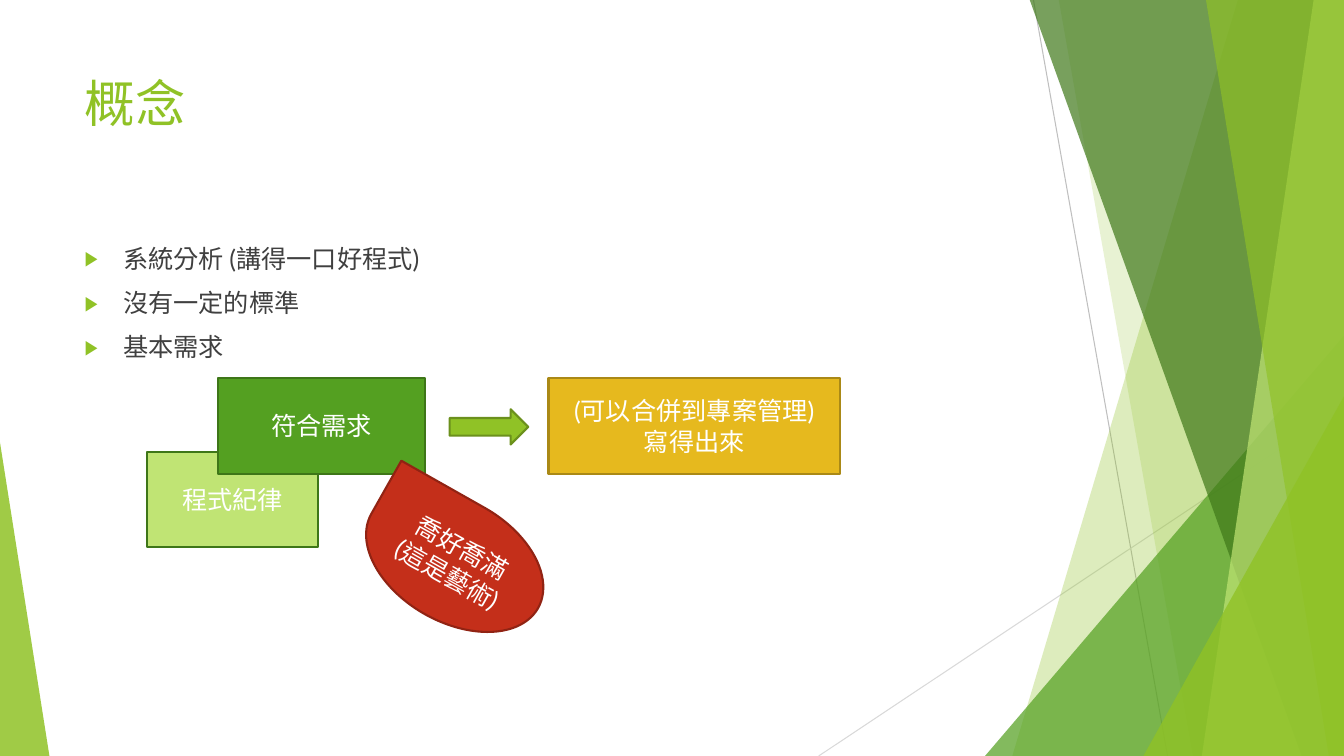
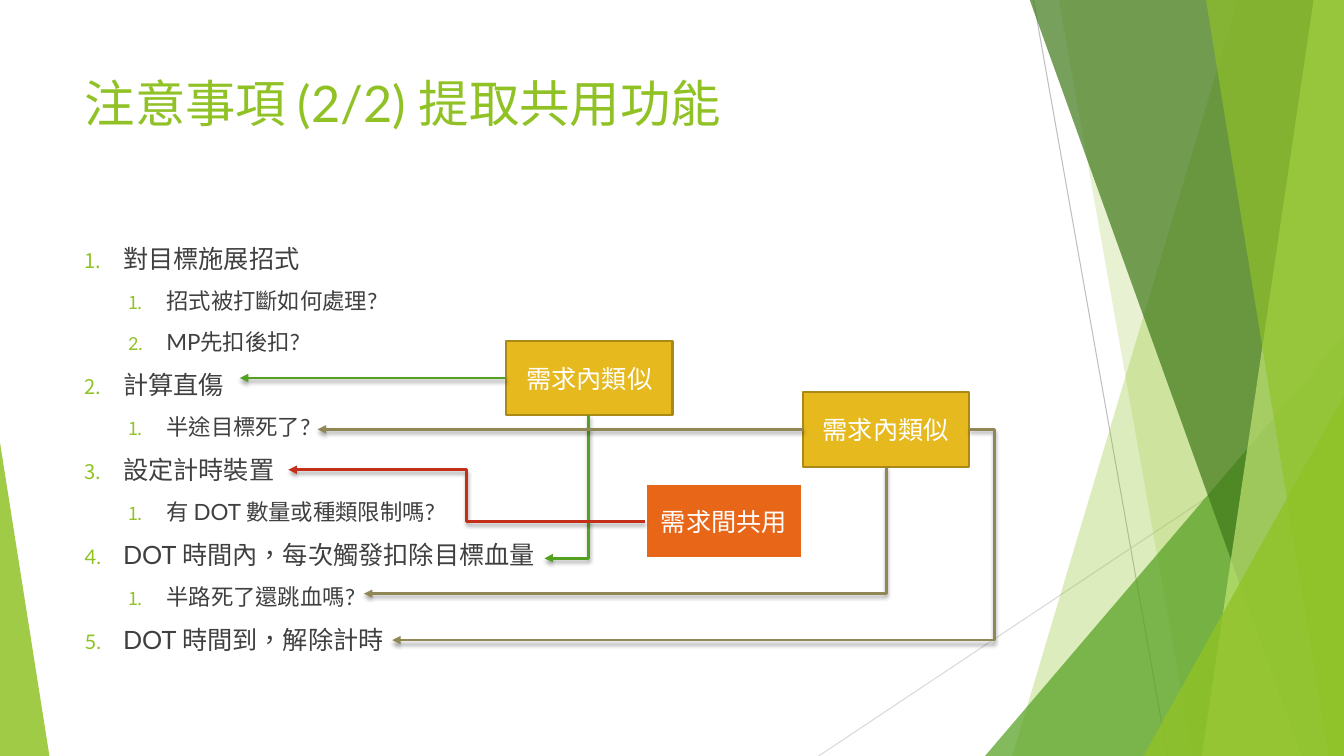
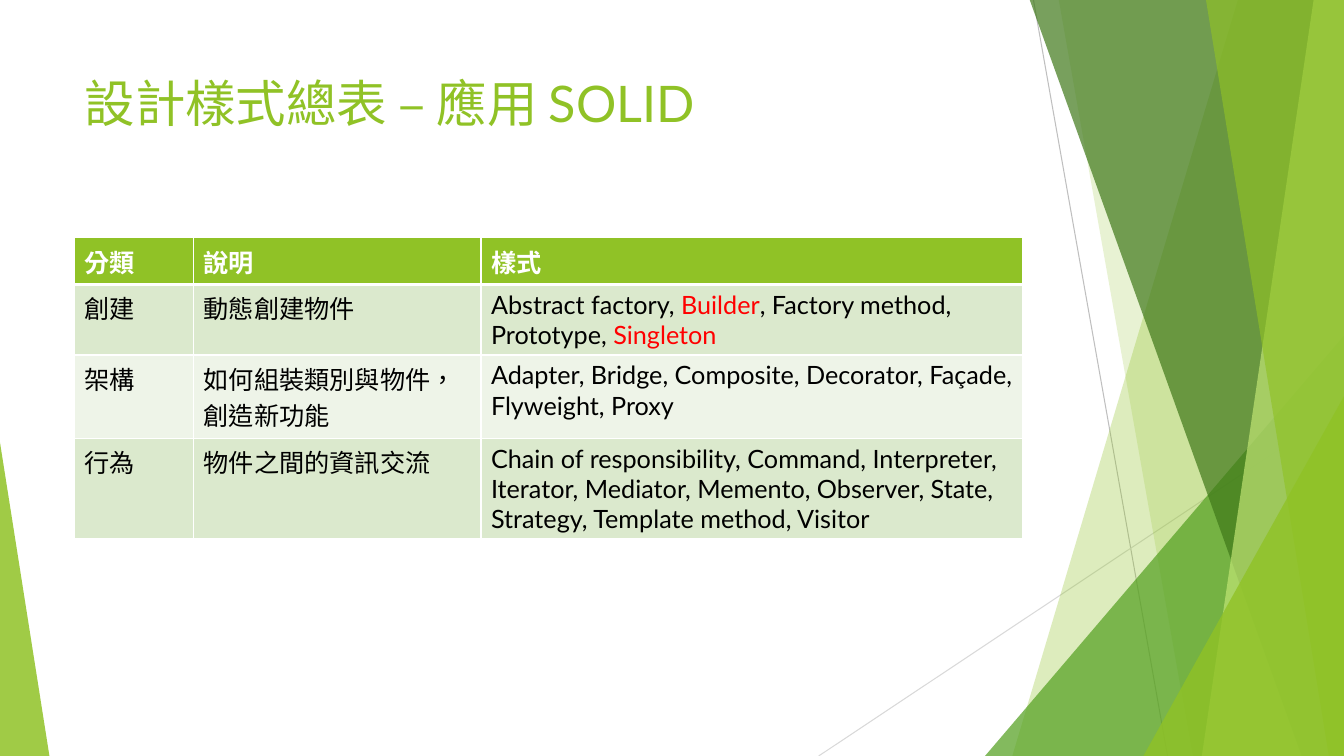
from lxml import etree
from pptx import Presentation
from pptx.dml.color import RGBColor
from pptx.enum.lang import MSO_LANGUAGE_ID
from pptx.enum.shapes import MSO_CONNECTOR, MSO_SHAPE
from pptx.enum.text import MSO_ANCHOR, MSO_AUTO_SIZE, PP_ALIGN
from pptx.oxml.ns import qn
from pptx.util import Pt

PX = 9144  # EMU per px, 100 px to the inch
STRAIGHT, ELBOW = MSO_CONNECTOR.STRAIGHT, MSO_CONNECTOR.ELBOW
RECT, ARROW, TEAR, TRI = (MSO_SHAPE.RECTANGLE, MSO_SHAPE.RIGHT_ARROW,
                          MSO_SHAPE.TEAR, MSO_SHAPE.ISOSCELES_TRIANGLE)
TOP, LEFT, CENTER = MSO_ANCHOR.TOP, PP_ALIGN.LEFT, PP_ALIGN.CENTER
NO_FIT = MSO_AUTO_SIZE.NONE
CHINESE = MSO_LANGUAGE_ID.TRADITIONAL_CHINESE


class Theme:
    font = "Lato"
    title, body, sub = 36, 18, 16
    lime, green, forest, pale = "90C226", "54A021", "3F7819", "C0E474"
    gold, orange, red, olive = "E6B91E", "E76618", "C42F1A", "918655"
    moss, bronze, leaf, wine = "3E7618", "AA8916", "6B901C", "912313"
    ink, white, black, alert = "404040", "FFFFFF", "000000", "FF0000"
    gray, mist = "BFBFBF", "D9D9D9"
    bands = "EEF4E8", "DBE9CD"


def write(para, text, size, color, bold=False):
    run = para.add_run()
    run.text = text
    look = {"name": Theme.font, "size": Pt(size), "bold": bold,
            "language_id": CHINESE}
    for key, value in look.items():
        setattr(run.font, key, value)
    run.font.color.rgb = RGBColor.from_string(color)


def block(slide, kind, frame, fill, edge, lines=(), width=1.5):
    shape = slide.shapes.add_shape(kind, *[n * PX for n in frame])
    shape.shadow.inherit = False
    shape.fill.solid()
    shape.fill.fore_color.rgb = RGBColor.from_string(fill)
    if edge:
        shape.line.color.rgb = RGBColor.from_string(edge)
        shape.line.width = Pt(width)
    else:
        shape.line.fill.background()
    for i, line in enumerate(lines):
        text = shape.text_frame
        para = text.add_paragraph() if i else text.paragraphs[0]
        para.alignment = CENTER
        write(para, line, Theme.body, Theme.white)
    return shape


deck = Presentation()
deck.slide_width, deck.slide_height = 1333 * PX, 750 * PX

# Slides with their titles
slides = []
for name, layout in (("概念", 1), ("注意事項 (2/2) 提取共用功能", 1),
                     ("設計樣式總表 – 應用 SOLID", 5)):
    slide = deck.slides.add_slide(deck.slide_layouts[layout])
    slides.append(slide)
    title = slide.shapes.title
    place = {"left": 74, "top": 67, "width": 940, "height": 144}
    for key, value in place.items():
        setattr(title, key, value * PX)
    text = title.text_frame
    text.vertical_anchor, text.auto_size = TOP, NO_FIT
    text.paragraphs[0].alignment = LEFT
    write(text.paragraphs[0], name, Theme.title, Theme.lime)
idea, notes, chart = slides

# Shared backdrop: thin lines, then slanted bands (top x, foot x)
# and triangles (left, top, width, height), all moved to the master
deco = []
for ends, color in (((1025, 0, 1158, 750), Theme.gray),
                    ((1333, 403, 812, 750), Theme.mist)):
    line = idea.shapes.add_connector(STRAIGHT, *[n * PX for n in ends])
    line.line.color.rgb = RGBColor.from_string(color)
    line.line.width = Pt(0.75)
    etree.SubElement(line.element.spPr, qn("a:effectLst"))
    deco.append(line)

for color, alpha, form in (
        (Theme.lime, 30, (1228, 1004)),
        (Theme.lime, 20, (1050, 1183)),
        (Theme.green, 72, (977, 333, 356, 417)),
        (Theme.forest, 70, (1021, 1291)),
        (Theme.pale, 70, (1303, 1192)),
        (Theme.lime, 65, (1196, 1318)),
        (Theme.lime, 80, (1134, 393, 199, 357)),
        (Theme.lime, 85, (0, 439, 49, 311))):
    if len(form) == 2:
        head, foot = form
        path = idea.shapes.build_freeform(head, -1, scale=PX)
        path.add_line_segments([(1333, -1), (1333, 750), (foot, 750)])
        shape = path.convert_to_shape()
        shape.shadow.inherit = False
        shape.fill.solid()
        shape.fill.fore_color.rgb = RGBColor.from_string(color)
        shape.line.fill.background()
    else:
        shape = block(idea, TRI, form, color, None)
        shape.adjustments[0] = 1 if form[0] else 0
    tint = shape.element.spPr.find(".//" + qn("a:srgbClr"))
    etree.SubElement(tint, qn("a:alpha"), val=str(alpha * 1000))
    deco.append(shape)

tree = deck.slide_master.shapes.element
for i, shape in enumerate(deco):
    shape.element[0][0].set("id", str(100 + i))
    tree.insert(2 + i, shape.element)

# Lists: (level, text), with a triangle or a number as bullet
points = [(0, "系統分析 (講得一口好程式)"), (0, "沒有一定的標準"), (0, "基本需求")]
steps = [(0, "對目標施展招式"), (1, "招式被打斷如何處理?"), (1, "MP先扣後扣?"),
         (0, "計算直傷"), (1, "半途目標死了?"),
         (0, "設定計時裝置"), (1, "有 DOT 數量或種類限制嗎?"),
         (0, "DOT 時間內，每次觸發扣除目標血量"), (1, "半路死了還跳血嗎?"),
         (0, "DOT 時間到，解除計時")]
for slide, items, mark in (
        (idea, points, ("a:buChar", {"char": "▶"})),
        (notes, steps, ("a:buAutoNum", {"type": "arabicPeriod"}))):
    body = slide.placeholders[1]
    place = {"left": 74, "top": 236, "width": 940, "height": 424}
    for key, value in place.items():
        setattr(body, key, value * PX)
    text = body.text_frame
    text.vertical_anchor, text.auto_size = TOP, NO_FIT
    for i, (level, words) in enumerate(items):
        para = text.add_paragraph() if i else text.paragraphs[0]
        para.level = level
        para.space_before = Pt(10 if i else 0)
        props = para._p.get_or_add_pPr()
        props.set("marL", str((81 if level else 38) * PX))
        props.set("indent", str(-38 * PX))
        tint = etree.SubElement(props, qn("a:buClr"))
        etree.SubElement(tint, qn("a:srgbClr"), val=Theme.lime)
        etree.SubElement(props, qn("a:buSzPct"), val="80000")
        etree.SubElement(props, qn("a:buFont"), typeface=Theme.font)
        etree.SubElement(props, qn(mark[0]), mark[1])
        write(para, words, Theme.sub if level else Theme.body, Theme.ink)

# Slide 1: blocks of the concept
for kind, frame, fill, edge, lines in (
        (RECT, (146, 448, 169, 95), Theme.pale, Theme.moss, ["程式紀律"]),
        (RECT, (216, 375, 206, 95), Theme.green, Theme.moss, ["符合需求"]),
        (RECT, (544, 375, 289, 95), Theme.gold, Theme.bronze,
         ["(可以合併到專案管理)", "寫得出來"]),
        (ARROW, (446, 406, 78, 35), Theme.lime, Theme.leaf, [])):
    block(idea, kind, frame, fill, edge, lines)
drop = block(idea, TEAR, (356, 496, 190, 121), Theme.red, Theme.wine,
             ["喬好喬滿", "(這是藝術)"])
drop.rotation = 29.5
drop.element.spPr.find(qn("a:xfrm")).set("flipH", "1")

# Slide 2: labels
near = block(notes, RECT, (502, 338, 165, 74), Theme.gold, Theme.bronze,
             ["需求內類似"])
cross = block(notes, RECT, (640, 480, 156, 74), Theme.orange, Theme.white,
              ["需求間共用"], 2)
far = block(notes, RECT, (796, 389, 165, 74), Theme.gold, Theme.bronze,
            ["需求內類似"])

# Slide 2: arrows as label, side, colour, frame, turn attributes, preset, bend
for label, side, color, frame, turn, kind, bend in (
        (near, 1, Theme.green, (238, 375, 264, 0), {}, None, None),
        (near, 2, Theme.green, (491, 461, 142, 44), {"rot": 90},
         "bentConnector3", 99800),
        (cross, 1, Theme.red, (286, 466, 354, 51), {"rot": 180},
         "bentConnector3", 50000),
        (far, 1, Theme.olive, (315, 426, 481, 0), {}, None, None),
        (far, 2, Theme.olive, (557, 267, 126, 518), {"rot": 90},
         "bentConnector2", None),
        (far, 3, Theme.olive, (389, 426, 572, 209), {"flipH": 1},
         "bentConnector3", -4400)):
    x, y, w, h = [n * PX for n in frame]
    link = notes.shapes.add_connector(ELBOW if kind else STRAIGHT,
                                      x + w, y, x, y + h)
    link.begin_connect(label, side)
    props = link.element.spPr
    if kind:
        link.left, link.top, link.width, link.height = x, y, w, h
        form = props.find(qn("a:xfrm"))
        form.attrib.pop("flipH", None)
        form.attrib.pop("flipV", None)
        for key, value in turn.items():
            form.set(key, str(value * 60000 if key == "rot" else value))
        shape = props.find(qn("a:prstGeom"))
        shape.set("prst", kind)
        if bend is not None:
            etree.SubElement(shape.find(qn("a:avLst")), qn("a:gd"),
                             name="adj1", fmla=f"val {bend}")
    link.line.color.rgb = RGBColor.from_string(color)
    link.line.width = Pt(2)
    etree.SubElement(props.find(qn("a:ln")), qn("a:tailEnd"), type="triangle")
    glow = etree.SubElement(props, qn("a:effectLst"))
    shade = etree.SubElement(glow, qn("a:outerShdw"), blurRad=str(Pt(3)),
                             dist=str(Pt(2)), dir="5400000", rotWithShape="0")
    tint = etree.SubElement(shade, qn("a:srgbClr"), val=Theme.black)
    etree.SubElement(tint, qn("a:alpha"), val="35000")

# Slide 3: table; words between bars stand out in red
rows = [
    ("分類", "說明", "樣式"),
    ("創建", "動態創建物件",
     "Abstract factory, |Builder|, Factory method, Prototype, |Singleton"),
    ("架構", "如何組裝類別與物件，創造新功能",
     "Adapter, Bridge, Composite, Decorator, Façade, Flyweight, Proxy"),
    ("行為", "物件之間的資訊交流",
     "Chain of responsibility, Command, Interpreter, Iterator, Mediator, "
     "Memento, Observer, State, Strategy, Template method, Visitor")]
table = chart.shapes.add_table(
    4, 3, *[n * PX for n in (74, 236, 940, 164)]).table
table.horz_banding = False
for col, width in zip(table.columns, (118, 285, 537)):
    col.width = width * PX
for r, row in enumerate(rows):
    table.rows[r].height = 41 * PX
    for c, words in enumerate(row):
        cell = table.cell(r, c)
        props = cell._tc.get_or_add_tcPr()
        wide = {"L": 1, "R": 1, "T": 3 if r == 1 else 1, "B": 1 if r else 3}
        for side, width in wide.items():
            edge = etree.SubElement(props, qn("a:ln" + side), w=str(Pt(width)))
            paint = etree.SubElement(edge, qn("a:solidFill"))
            etree.SubElement(paint, qn("a:srgbClr"), val=Theme.white)
        cell.fill.solid()
        cell.fill.fore_color.rgb = RGBColor.from_string(
            Theme.bands[r % 2] if r else Theme.lime)
        for i, part in enumerate(words.split("|")):
            color = Theme.alert if i % 2 else Theme.black
            write(cell.text_frame.paragraphs[0], part, Theme.body,
                  color if r else Theme.white, r == 0)

deck.save("out.pptx")
